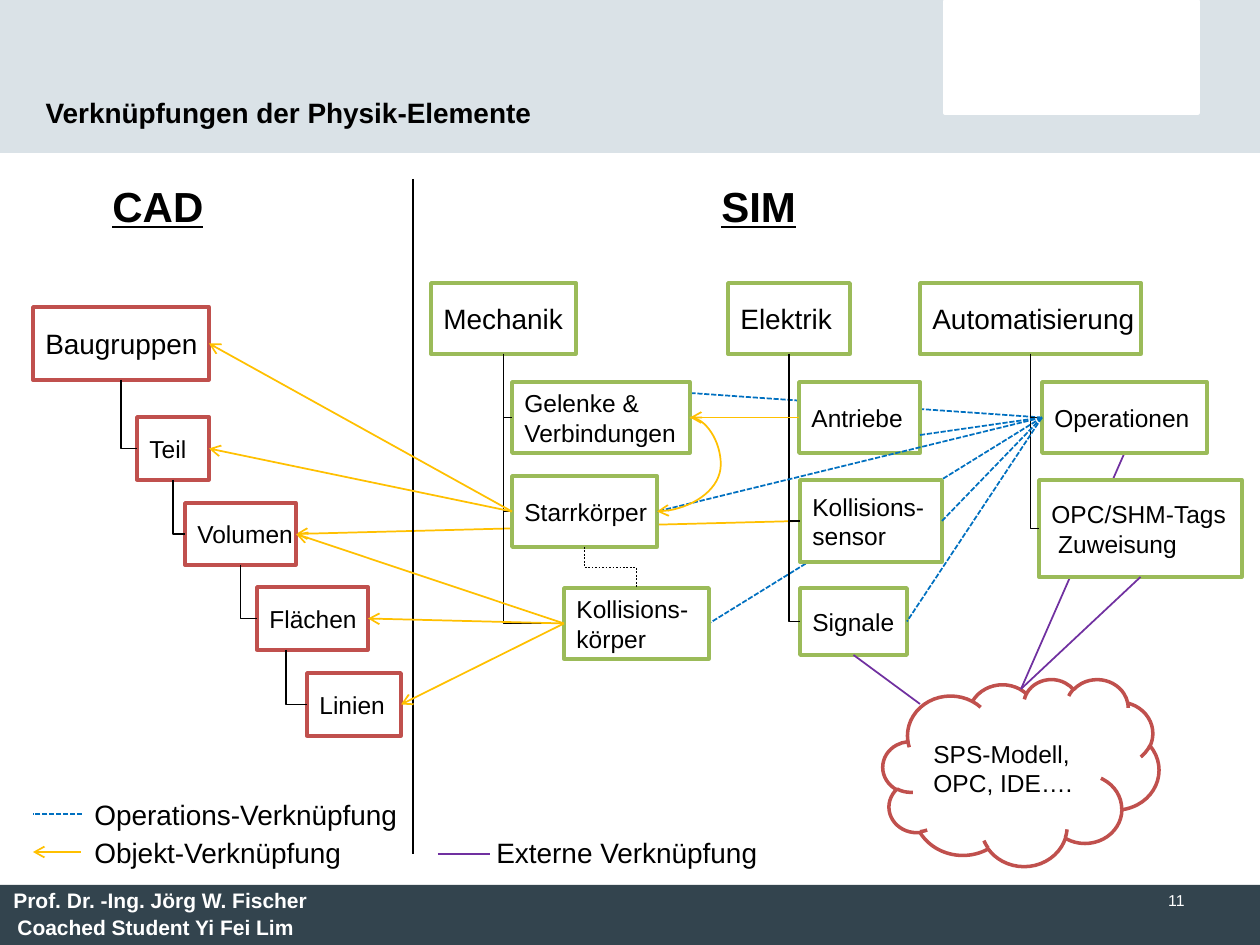
from lxml import etree
from pptx import Presentation
from pptx import util as u
from pptx.dml.color import RGBColor
from pptx.enum import dml, shapes, text
from pptx.oxml.ns import qn

PX = 914400 / 126
BLACK, WHITE, RED, GREEN = "000000", "FFFFFF", "C0504D", "9BBB59"
BLUE, YELLOW, PURPLE = "0070C0", "FFC000", "7030A0"

# Content: key, label, (left, top, width, height), text size
CAD = [
    ("bau", "Baugruppen", (33, 307, 176, 73), 16),
    ("teil", "Teil", (137, 417, 72, 63), 14),
    ("vol", "Volumen", (185, 503, 111, 62), 14),
    ("fla", "Flächen", (257, 587, 111, 63), 14),
    ("lin", "Linien", (307, 673, 94, 63), 14),
]
SIM = [
    ("mech", "Mechanik", (431, 283, 145, 71), 16),
    ("elek", "Elektrik", (728, 283, 122, 71), 16),
    ("auto", "Automatisierung", (920, 283, 221, 71), 16),
    ("gelenk", "Gelenke &\nVerbindungen", (512, 382, 178, 71), 14),
    ("starr", "Starrkörper", (512, 476, 145, 71), 14),
    ("koerper", "Kollisions-\nkörper", (564, 588, 145, 71), 14),
    ("antrieb", "Antriebe", (799, 382, 121, 71), 14),
    ("sensor", "Kollisions-\nsensor", (800, 480, 142, 82), 14),
    ("signal", "Signale", (800, 588, 107, 67), 14),
    ("oper", "Operationen", (1042, 382, 165, 71), 14),
    ("tags", "OPC/SHM-Tags\n Zuweisung", (1039, 480, 203, 97), 14),
]
CLOUD = ("cloud", "SPS-Modell, \nOPC, IDE….", (883, 679, 276, 187), 14)
CLOUD_TOP, CLOUD_LEFT = (1021, 689), (920, 704)

TREE = {
    "bau": ["teil"], "teil": ["vol"], "vol": ["fla"], "fla": ["lin"],
    "mech": ["gelenk", "starr", "koerper"],
    "elek": ["antrieb", "sensor", "signal"],
    "auto": ["oper", "tags"],
}
TRUNK_X = {"fla": 286}  # trunks that leave off-centre

# Links: an end is "box.side" or a point
BACK_LINKS = [
    (BLUE, "oper.l", (690, 393)),
    (BLUE, "oper.l", "koerper.r"),
    (YELLOW, "sensor.l", "vol.r"),
    (PURPLE, "oper.b", CLOUD_TOP),
]
FRONT_LINKS = [
    (YELLOW, "starr.l", "teil.r"),
    (YELLOW, "antrieb.l", "gelenk.r"),
    (YELLOW, "koerper.l", "fla.r"),
    (YELLOW, "koerper.l", "lin.r"),
    (YELLOW, "koerper.l", "vol.r"),
    (PURPLE, "signal.b", CLOUD_LEFT),
    (PURPLE, "tags.b", CLOUD_TOP),
    (BLUE, "oper.l", (920, 435)),
    (BLUE, "oper.l", "sensor.r"),
    (BLUE, "oper.l", "signal.r"),
    (BLUE, "oper.l", "starr.r"),
    (YELLOW, "starr.l", "bau.r"),
    # Legend
    (YELLOW, (81, 852), (33, 852)),
    (BLUE, (82, 814), (33, 814)),
    (PURPLE, (438, 854), (490, 854)),
]
LEGEND = [
    ("Objekt-Verknüpfung", (82, 829, 275, 47)),
    ("Operations-Verknüpfung", (82, 791, 331, 47)),
    ("Externe Verknüpfung", (484, 829, 291, 47)),
]
HEADINGS = [("SIM", (709, 174, 127, 64)), ("CAD", (100, 174, 127, 64))]
FOOTER = [
    ("Prof. Dr. -Ing. Jörg W. Fischer", (1, 881, 338, 38)),
    ("Coached Student Yi Fei Lim", (5, 908, 309, 38)),
]
RECTS = {key: rect for key, _, rect, _ in CAD + SIM}


def emu(*values):
    return [u.Emu(round(v * PX)) for v in values]


def rgb(value):
    return RGBColor.from_string(value)


def write(tf, label, size, color=BLACK, bold=False, underline=False, wrap=True,
          anchor=text.MSO_ANCHOR.TOP, align=text.PP_ALIGN.LEFT):
    tf.word_wrap = wrap
    tf.auto_size = text.MSO_AUTO_SIZE.NONE
    tf.vertical_anchor = anchor
    p = tf.paragraphs[0]
    p.alignment = align
    for i, line in enumerate(label.split("\n")):
        if i:
            p.add_line_break()
        r = p.add_run()
        r.text = line
        f = r.font
        f.name, f.size, f.bold, f.underline = "Arial", u.Pt(size), bold, underline
        f.color.rgb = rgb(color)


def add_text(label, rect, size, **style):
    write(s.shapes.add_textbox(*emu(*rect)).text_frame, label, size, **style)


def add_box(rect, fill, line=None, kind=shapes.MSO_SHAPE.RECTANGLE):
    sp = s.shapes.add_shape(kind, *emu(*rect))
    sp.shadow.inherit = False
    sp.fill.solid()
    sp.fill.fore_color.rgb = rgb(fill)
    if line:
        sp.line.color.rgb = rgb(line)
        sp.line.width = u.Pt(2)
    else:
        sp.line.fill.background()
    return sp


def add_node(node, line, kind=shapes.MSO_SHAPE.RECTANGLE):
    _, label, rect, size = node
    sp = add_box(rect, WHITE, line, kind)
    write(sp.text_frame, label, size, wrap=False, anchor=text.MSO_ANCHOR.MIDDLE)


def point(end):
    if not isinstance(end, str):
        return end
    key, side = end.split(".")
    x, y, w, h = RECTS[key]
    return {"l": (x, y + h / 2), "r": (x + w, y + h / 2),
            "t": (x + w / 2, y), "b": (x + w / 2, y + h)}[side]


def add_line(color, start, end, kind=shapes.MSO_CONNECTOR.STRAIGHT):
    c = s.shapes.add_connector(kind, *emu(*point(start), *point(end)))
    c.line.color.rgb = rgb(color)
    c.line.width = u.Pt(1)
    if color == BLUE:
        c.line.dash_style = dml.MSO_LINE.SQUARE_DOT
        c.line._ln.find(qn("a:prstDash")).set("val", "sysDash")
    if color == YELLOW:
        etree.SubElement(c.line._ln, qn("a:tailEnd"), type="arrow")
    etree.SubElement(c._element.spPr, qn("a:effectLst"))
    return c


def add_elbow(start, end, preset="bentConnector2"):
    """Elbow that leaves downwards: a quarter turn swaps width and height."""
    (x1, y1), (x2, y2) = point(start), point(end)
    w, h = y2 - y1, x2 - x1
    c = add_line(BLACK, start, end, shapes.MSO_CONNECTOR.ELBOW)
    c.left, c.top, c.width, c.height = emu(
        (x1 + x2 - w) / 2, (y1 + y2 - h) / 2, w, h)
    xfrm = c._element.spPr.find(qn("a:xfrm"))
    xfrm.set("rot", "16200000")
    xfrm.set("flipH", "1")
    c._element.spPr.find(qn("a:prstGeom")).set("prst", preset)
    return c


prs = Presentation()
prs.slide_width, prs.slide_height = emu(1260, 945)
s = prs.slides.add_slide(prs.slide_layouts[5])

# Bands, logo area and footer
add_box((0, 0, 1260, 153), "DAE2E7")
add_box((945, 1, 253, 112), WHITE, WHITE)
add_box((0, 885, 1260, 60), "33444E")
for label, rect in FOOTER:
    add_text(label, rect, 12, color=WHITE, bold=True)
add_text("11", (903, 885, 294, 60), 9, color=WHITE, align=text.PP_ALIGN.RIGHT)

# Title, raised above the band
title = s.shapes.title
title.left, title.top, title.width, title.height = emu(33, 55, 765, 80)
write(title.text_frame, "Verknüpfungen der Physik-Elemente", 16, bold=True,
      anchor=text.MSO_ANCHOR.BOTTOM)
s.shapes._spTree.append(title._element)

# Cloud, links behind the boxes, boxes
add_node(CLOUD, RED, shapes.MSO_SHAPE.CLOUD)
for link in BACK_LINKS:
    add_line(*link)
for nodes, color in ((CAD, RED), (SIM, GREEN)):
    for node in nodes:
        add_node(node, color)

# Divider and hierarchy
add_line(BLACK, (413, 179), (413, 854))
for parent, children in TREE.items():
    x, y = point(parent + ".b")
    for child in children:
        add_elbow((TRUNK_X.get(parent, x), y), child + ".l")
dotted = add_elbow("starr.b", "koerper.t", "bentConnector3")
dotted.line.dash_style = dml.MSO_LINE.ROUND_DOT

# Links in front
for link in FRONT_LINKS:
    add_line(*link)
curve = add_line(YELLOW, "gelenk.r", "starr.r", shapes.MSO_CONNECTOR.CURVE)
geom = curve._element.spPr.find(qn("a:prstGeom"))
guides = geom.find(qn("a:avLst"))
if guides is None:
    guides = etree.SubElement(geom, qn("a:avLst"))
etree.SubElement(guides, qn("a:gd"), name="adj1", fmla="val -93600")

# Headings and legend
for label, rect in HEADINGS:
    add_text(label, rect, 24, bold=True, underline=True)
for label, rect in LEGEND:
    add_text(label, rect, 16, wrap=False)

prs.save("out.pptx")
